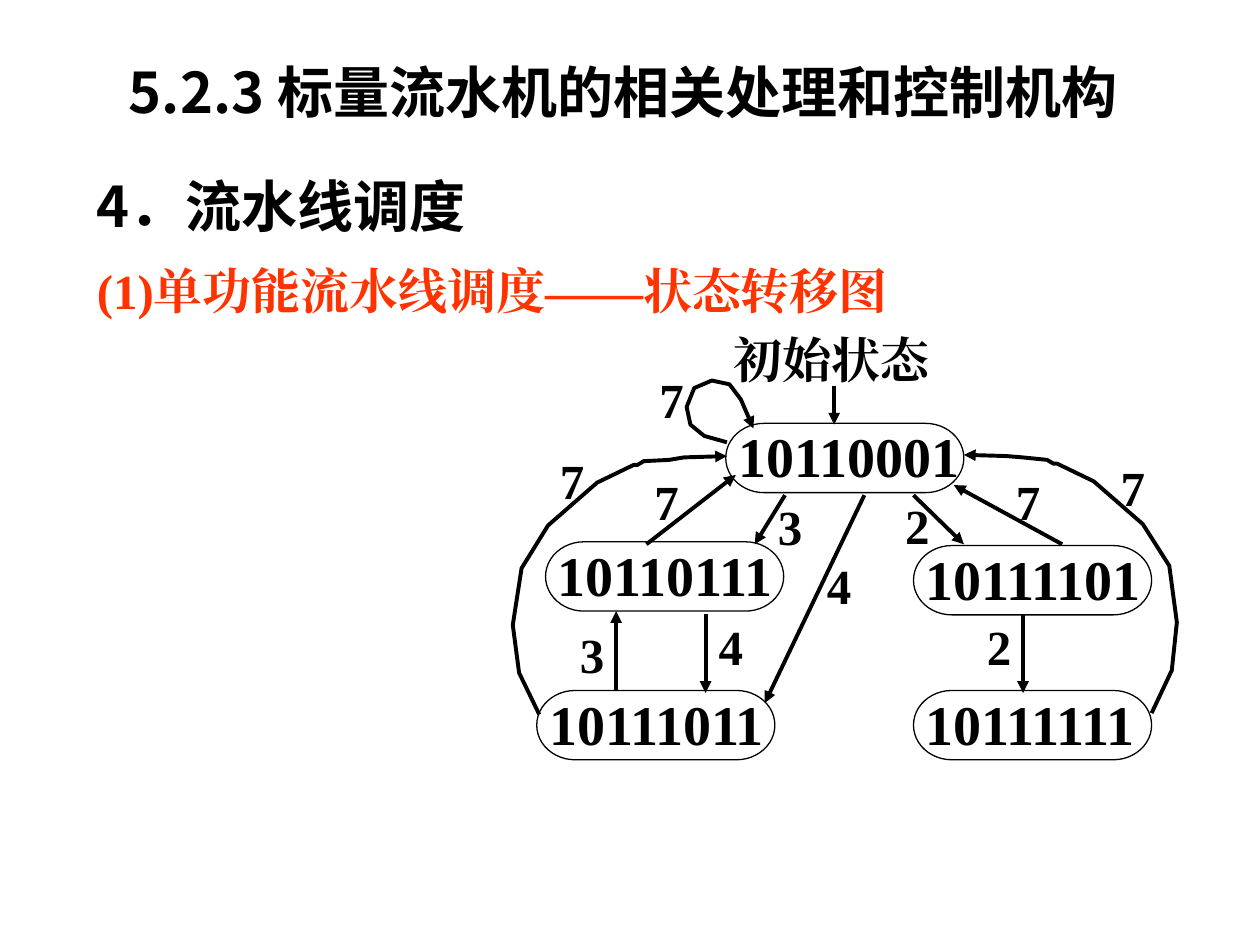
"""Builds the slide on pipeline scheduling with its state transition diagram."""
import pptx
import pptx.dml.color
import pptx.enum.shapes
import pptx.enum.text
import pptx.oxml
import pptx.oxml.ns
import pptx.util
from pptx.util import Inches

COLORS = {"ink": "000000", "accent": "FF3300"}
SANS = "Noto Sans CJK SC"
SERIF = "Times New Roman"
ALIGN = pptx.enum.text.PP_ALIGN
ANCHOR = pptx.enum.text.MSO_ANCHOR
STATE_SIZE = (1.89, 0.55)

STATES = [
    ("10110001", 5.76, 3.36),
    ("10110111", 4.33, 4.30),
    ("10111011", 4.26, 5.48),
    ("10111101", 7.25, 4.33),
    ("10111111", 7.25, 5.48),
]

STRAIGHT_TRANSITIONS = [
    ("7", (7.96, 3.69), (8.43, 4.32), (7.57, 3.85)),
    ("2", (7.08, 3.88), (7.25, 3.93), (7.65, 4.32)),
    ("2", (7.73, 4.84), (8.12, 4.87), (8.12, 5.50)),
    ("3", (6.07, 3.89), (6.23, 3.93), (5.99, 4.32)),
    ("4", (5.60, 4.84), (5.60, 4.87), (5.60, 5.50)),
    ("3", (4.50, 4.91), (4.89, 5.48), (4.89, 4.85)),
    ("7", (5.09, 3.69), (5.13, 4.32), (5.84, 3.77)),
    ("4", (6.46, 4.36), (6.86, 3.93), (6.07, 5.58)),
]

CURVED_TRANSITIONS = [
    ("7", (8.79, 3.58), [
        (9.14, 5.66), (9.30, 5.32), (9.34, 4.94), (9.28, 4.49),
        (9.07, 4.16), (8.68, 3.82), (8.39, 3.68), (8.36, 3.68),
        (8.31, 3.65), (8.11, 3.63), (7.99, 3.62), (7.65, 3.61)]),
    ("7", (4.34, 3.53), [
        (4.28, 5.67), (4.12, 5.34), (4.07, 4.96), (4.14, 4.51),
        (4.35, 4.17), (4.74, 3.83), (5.03, 3.69), (5.06, 3.69),
        (5.11, 3.66), (5.31, 3.65), (5.43, 3.63), (5.77, 3.62)]),
    ("7", (5.13, 2.88), [
        (5.77, 3.51), (5.59, 3.46), (5.48, 3.37), (5.45, 3.23),
        (5.51, 3.08), (5.65, 3.02), (5.79, 3.05), (5.88, 3.17),
        (5.98, 3.40)]),
]


def rgb(name):
    """Return the named colour."""
    return pptx.dml.color.RGBColor.from_string(COLORS[name])


def add_text(slide, text, box, size, font=SERIF, color="ink",
             align=ALIGN.LEFT, anchor=ANCHOR.TOP, wrap=False):
    """Add a bold one-line text box."""
    frame = slide.shapes.add_textbox(*map(Inches, box)).text_frame
    frame.word_wrap = wrap
    frame.vertical_anchor = anchor
    frame.text = text
    line = frame.paragraphs[0]
    line.alignment = align
    run = line.runs[0]
    run.font.name = font
    run.font.size = pptx.util.Pt(size)
    run.font.bold = True
    run.font.color.rgb = rgb(color)
    east_asian = pptx.oxml.parse_xml(
        f'<a:ea {pptx.oxml.ns.nsdecls("a")} typeface="{font}"/>')
    run.font._element.find(pptx.oxml.ns.qn("a:latin")).addnext(east_asian)


def style_line(shape, width):
    """Give a shape or connector a black line."""
    shape.line.color.rgb = rgb("ink")
    shape.line.width = pptx.util.Pt(width)


def style_arrow(shape):
    """Give a line its weight and a triangular end."""
    style_line(shape, 2.25)
    shape.line._get_or_add_ln().append(pptx.oxml.parse_xml(
        f'<a:tailEnd {pptx.oxml.ns.nsdecls("a")} type="triangle"/>'))


def add_state(slide, bits, left, top):
    """Add an outlined state with its collision vector."""
    add_text(slide, bits, (left, top - 0.06, 1.98, 0.63), 32)
    outline = slide.shapes.add_shape(
        pptx.enum.shapes.MSO_SHAPE.FLOWCHART_TERMINATOR,
        *map(Inches, (left, top, *STATE_SIZE)))
    outline.shadow.inherit = False
    outline.fill.background()
    style_line(outline, 0.75)


def add_arrow(slide, start, end):
    """Add a straight arrow."""
    arrow = slide.shapes.add_connector(
        pptx.enum.shapes.MSO_CONNECTOR.STRAIGHT, *map(Inches, start + end))
    style_arrow(arrow)
    arrow._element.spPr.append(pptx.oxml.parse_xml(
        f'<a:effectLst {pptx.oxml.ns.nsdecls("a")}/>'))


def add_curve(slide, points):
    """Add an open arrow through the points."""
    start, *rest = [tuple(map(Inches, point)) for point in points]
    builder = slide.shapes.build_freeform(*start)
    builder.add_line_segments(rest, close=False)
    curve = builder.convert_to_shape()
    curve.shadow.inherit = False
    curve.fill.background()
    style_arrow(curve)


def add_delay(slide, delay, corner):
    """Add the delay that labels a transition."""
    add_text(slide, delay, (*corner, 0.4, 0.57), 28, align=ALIGN.CENTER)


def main():
    """Build and save the slide."""
    deck = pptx.Presentation()
    deck.slide_width, deck.slide_height = Inches(10), Inches(7.5)
    slide = deck.slides.add_slide(deck.slide_layouts[6])

    add_text(slide, "5.2.3 标量流水机的相关处理和控制机构 ",
             (0.59, 0.28, 8.82, 0.88), 32, SANS, align=ALIGN.CENTER,
             anchor=ANCHOR.MIDDLE, wrap=True)
    add_text(slide, "4．流水线调度", (0.67, 1.31, 5.04, 0.63), 32, SANS,
             anchor=ANCHOR.MIDDLE, wrap=True)
    add_text(slide, "(1)单功能流水线调度——状态转移图",
             (0.67, 2.02, 7.24, 0.57), 28, color="accent", wrap=True)

    for state in STATES:
        add_state(slide, *state)
    add_text(slide, "初始状态", (5.72, 2.57, 1.76, 0.57), 28,
             align=ALIGN.CENTER)
    add_arrow(slide, (6.62, 3.06), (6.62, 3.37))
    for delay, corner, start, end in STRAIGHT_TRANSITIONS:
        add_arrow(slide, start, end)
        add_delay(slide, delay, corner)
    for delay, corner, points in CURVED_TRANSITIONS:
        add_curve(slide, points)
        add_delay(slide, delay, corner)

    deck.save("out.pptx")


if __name__ == "__main__":
    main()
